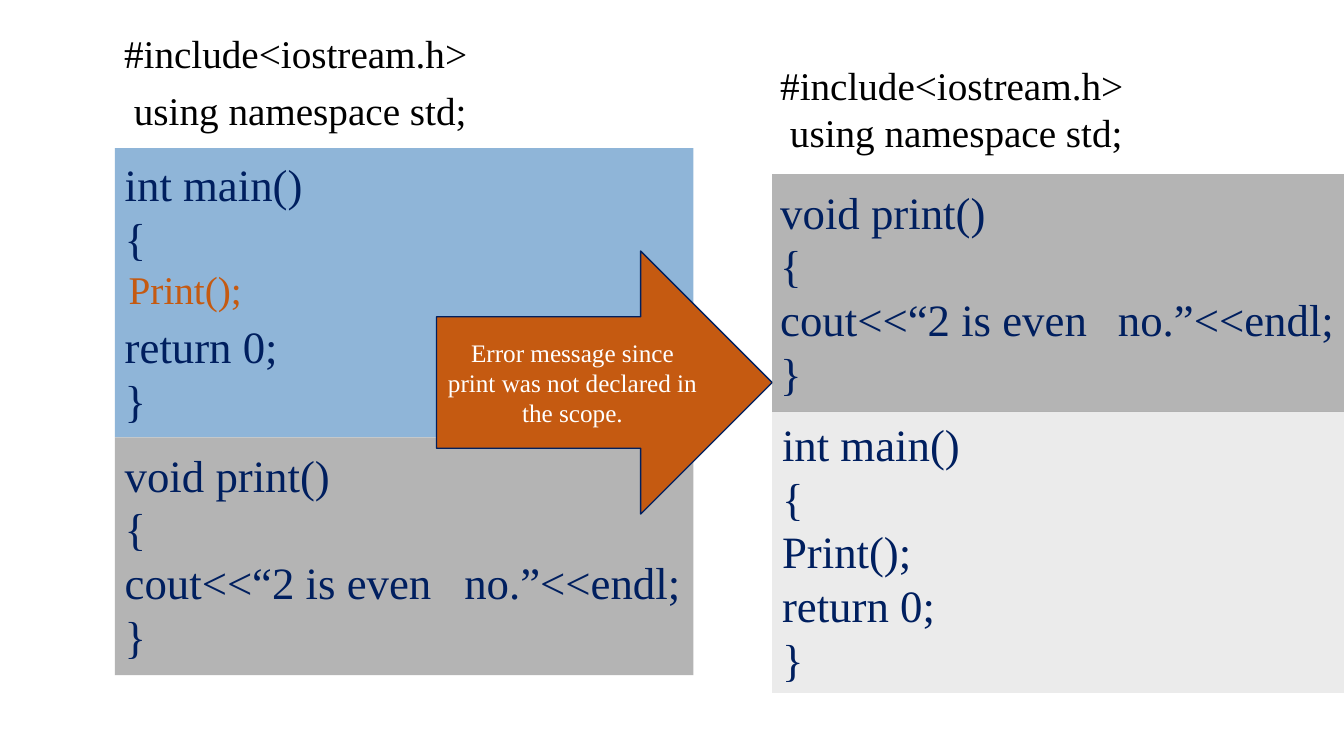
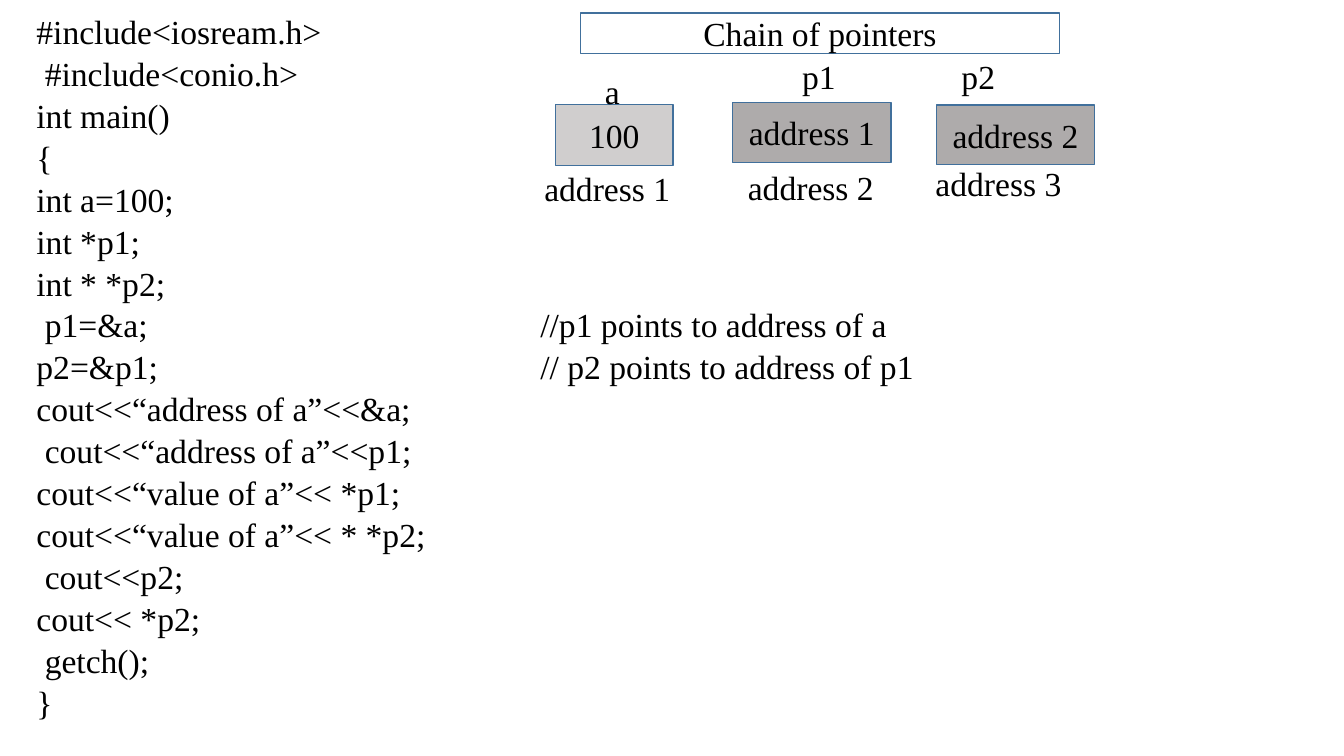
from collections import namedtuple
from lxml import etree
from pptx import Presentation
from pptx.dml.color import RGBColor
from pptx.enum.shapes import MSO_SHAPE as Preset
from pptx.enum.text import MSO_ANCHOR as Anchor, PP_ALIGN as Align
from pptx.oxml.ns import qn
from pptx.util import Pt

FONT = "Times New Roman"
COLORS = {
    "black": "000000", "white": "FFFFFF", "navy": "001F5F", "orange": "C55A11",
    "blue": "2D75B6", "gray": "7B7B7B", "outline": "41709C",
    "value": "D0CECE", "pointer": "AEABAB",
}

Line = namedtuple("Line", "text before size color indent", defaults=(0, None, None, 0))

HEADER = ["#include<iostream.h>", " using namespace std;"]
PRINT_BODY = ["{", "cout<<“2 is even\tno.”<<endl;", "}"]
PRINT_CODE = [Line("void print()", 7.1), *PRINT_BODY]
WRONG_MAIN = [
    Line("int main()", 1.1), "{", Line("Print();", 0.6, 28, "orange", 2.9),
    Line("return 0;", 4.2), "}",
]
RIGHT_MAIN = [Line("int main()", 3.2), "{", "Print();", "return 0;", "}"]
ERROR = ["Error message since", "print was not declared in", "the scope."]

HEADERS = [((88, 13.7, 247, 83), 1.2), ((556.6, 43.2, 247, 69), 1)]
LEFT_BLOCKS = [
    ((82, 105.8, 413.3, 206.6), "blue", 53, WRONG_MAIN, (7.2, 6.5), None),
    ((82, 312.4, 413.3, 169.9), "gray", 56, PRINT_CODE, (7.2, 7.2), 242.6),
]
RIGHT_BLOCKS = [
    ((551.5, 294, 408.5, 200.9), "gray", 15, RIGHT_MAIN, (7.2, 3.6), None),
    ((551.5, 124.4, 408.5, 169.9), "gray", 56, PRINT_CODE, (5.8, 7.2), 241.2),
]

POINTER_CODE = [
    "#include<iosream.h>", " #include<conio.h>", "int main()", "{",
    "int a=100;", "int *p1;", "int * *p2;", " p1=&a;", "p2=&p1;",
    "cout<<“address of a”<<&a;", " cout<<“address of a”<<p1;",
    "cout<<“value of a”<< *p1;", "cout<<“value of a”<< * *p2;",
    " cout<<p2;", "cout<< *p2;", " getch();", "}",
]
REMARKS = [
    Line("//p1 points to address of a", 2.5),
    Line("// p2 points to address of p1", 1.5),
]
CELLS = [
    ("Chain of pointers", (414.7, 9.4, 342, 28.8), None),
    ("100", (396.7, 74.9, 84.2, 43.2), "value"),
    ("address 1", (523.4, 73.4, 113, 42.5), "pointer"),
    ("address 2", (668.9, 74.9, 113, 42.5), "pointer"),
]
LABELS = [
    ("a", (432, 49.7, 13, 31)),
    ("p1\tp2", (573, 38.9, 139, 31)),
    ("address 1", (388.8, 119.5, 92, 31)),
    ("address 2", (534.2, 118.8, 92, 31)),
    ("address 3", (668.2, 115.9, 92, 31)),
]


def rgb(name):
    return RGBColor.from_string(COLORS[name])


def points(values):
    return [Pt(value) for value in values]


def write(shape, lines, size, color="black", insets=(0, 0.7, 0),
          align=Align.LEFT, anchor=Anchor.TOP, spacing=None, tab=None):
    frame = shape.text_frame
    frame.word_wrap = True
    frame.vertical_anchor = anchor
    left, top, right = points(insets)
    frame.margin_left, frame.margin_top = left, top
    frame.margin_right, frame.margin_bottom = right, 0
    for number, item in enumerate(lines):
        line = item if isinstance(item, Line) else Line(item)
        para = frame.add_paragraph() if number else frame.paragraphs[0]
        para.alignment = align
        para.space_before = Pt(line.before)
        if spacing:
            para.line_spacing = spacing
        props = para._p.get_or_add_pPr()
        if line.indent:
            props.set("marL", str(Pt(line.indent)))
        if tab and "\t" in line.text:
            stops = etree.SubElement(props, qn("a:tabLst"))
            etree.SubElement(stops, qn("a:tab"), pos=str(Pt(tab)), algn="l")
        span = para.add_run()
        span.text = line.text
        span.font.name = FONT
        span.font.size = Pt(line.size or size)
        span.font.color.rgb = rgb(line.color or color)


def add_text(page, spot, lines, size, **style):
    write(page.shapes.add_textbox(*points(spot)), lines, size, **style)


def add_box(page, spot, fill=None, line=None, opacity=None, preset=Preset.RECTANGLE):
    box = page.shapes.add_shape(preset, *points(spot))
    box.shadow.inherit = False
    if fill:
        box.fill.solid()
        box.fill.fore_color.rgb = rgb(fill)
    else:
        box.fill.background()
    if opacity:
        tint = box.fill._xPr.find(".//" + qn("a:srgbClr"))
        etree.SubElement(tint, qn("a:alpha"), val=str(opacity * 1000))
    if line:
        box.line.color.rgb = rgb(line)
        box.line.width = Pt(0.96)
    else:
        box.line.fill.background()
    return box


def add_blocks(page, blocks):
    for spot, fill, opacity, lines, insets, tab in blocks:
        box = add_box(page, spot, fill, opacity=opacity)
        write(box, lines, 32, "navy", insets=(*insets, 0), tab=tab)


deck = Presentation()
deck.slide_width, deck.slide_height = Pt(960), Pt(540)
blank = deck.slide_layouts[6]

page = deck.slides.add_slide(blank)
for spot, spacing in HEADERS:
    add_text(page, spot, [Line(HEADER[0], 1), HEADER[1]], 28,
             insets=(0.7, 0.7, 0), spacing=spacing)
add_blocks(page, LEFT_BLOCKS)
arrow = add_box(page, (311.8, 179.3, 239.8, 187.9), "orange", "navy",
                preset=Preset.RIGHT_ARROW)
write(arrow, ERROR, 18, "white", insets=(3.5, 0, 2),
      align=Align.CENTER, anchor=Anchor.MIDDLE)
add_blocks(page, RIGHT_BLOCKS)

page = deck.slides.add_slide(blank)
add_text(page, (26, 5.8, 279, 513), POINTER_CODE, 24, spacing=Pt(29.95))
add_text(page, (386, 214.6, 268, 62.6), REMARKS, 24, insets=(0, 2.2, 0))
for text, spot, fill in CELLS:
    write(add_box(page, spot, fill, "outline"), [text], 24, insets=(0, 0, 0),
          align=Align.CENTER, anchor=Anchor.MIDDLE)
for text, spot in LABELS:
    add_text(page, spot, [Line(text, 1)], 24, tab=113.8)

deck.save("out.pptx")
